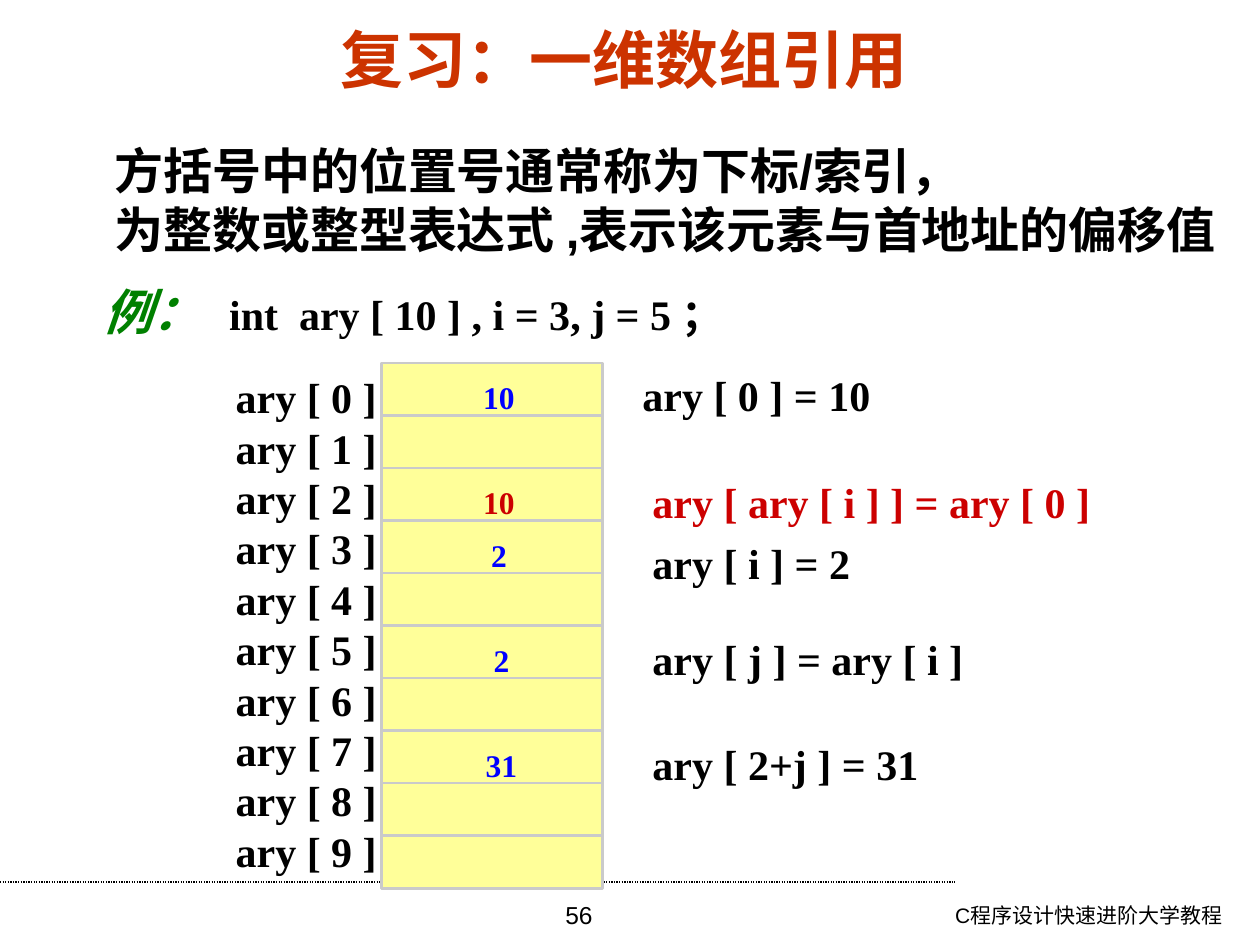
import pptx
import pptx.util
import pptx.dml.color
import pptx.enum.dml
import pptx.enum.shapes
import pptx.enum.text
from lxml import etree

Inches = pptx.util.Inches
Pt = pptx.util.Pt
ALIGN = pptx.enum.text.PP_ALIGN
ANCHOR = pptx.enum.text.MSO_ANCHOR
FIT = pptx.enum.text.MSO_AUTO_SIZE

COLORS = {
    "black": "000000",
    "title": "CC3300",
    "green": "008000",
    "blue": "0000FF",
    "red": "CC0000",
    "cell": "FFFF99",
    "edge": "CACACA",
}
SANS, SERIF = "Arial", "Times New Roman"
ROWS = 10
LEFT, TOP, WIDTH, HEIGHT = 3.03, 2.88, 1.75, 4.17
STEP = HEIGHT / ROWS

VALUES = [
    (0, "10", 3.96, "blue"),
    (2, "10", 3.96, "red"),
    (3, "2", 3.96, "blue"),
    (5, "2", 3.98, "blue"),
    (7, "31", 3.98, "blue"),
]
STEPS = [
    ("ary [ 0 ] = 10", 5, 2.88, 2.05, "black"),
    ("ary [ ary [ i ] ] = ary [ 0 ]", 5.08, 3.73, 3.72, "red"),
    ("ary [ i ] = 2", 5.08, 4.22, 1.8, "black"),
    ("ary [ j ] = ary [ i ]", 5.08, 4.98, 2.72, "black"),
    ("ary [ 2+j ] = 31", 5.08, 5.81, 2.35, "black"),
]


def shade(name):
    return pptx.dml.color.RGBColor.from_string(COLORS[name])


def style(run, size, color, face, bold=True, slant=False):
    font = run.font
    font.size = Pt(size)
    font.name = face
    font.bold = bold
    font.italic = slant
    font.color.rgb = shade(color)


def add_box(shapes, left, top, width, height, wrap=False):
    box = shapes.add_textbox(Inches(left), Inches(top), Inches(width), Inches(height))
    frame = box.text_frame
    frame.word_wrap = wrap
    frame.auto_size = FIT.NONE if wrap else FIT.SHAPE_TO_FIT_TEXT
    frame.vertical_anchor = ANCHOR.TOP if wrap else ANCHOR.MIDDLE
    return frame


def add_text(shapes, text, place, size, color="black", face=SERIF,
             align=ALIGN.LEFT, bold=True, wrap=False):
    frame = add_box(shapes, *place, wrap=wrap)
    frame.text = text
    for para in frame.paragraphs:
        para.alignment = align
        for run in para.runs:
            style(run, size, color, face, bold)
    return frame


def add_line(shapes, left, right, y, color, width):
    line = shapes.add_connector(pptx.enum.shapes.MSO_CONNECTOR.STRAIGHT,
                                Inches(left), Inches(y), Inches(right), Inches(y))
    line.line.color.rgb = shade(color)
    line.line.width = Pt(width)
    etree.SubElement(line._element.spPr, pptx.oxml.ns.qn("a:effectLst"))
    return line


def add_array(slide):
    shapes = slide.shapes.add_group_shape().shapes
    rect = shapes.add_shape(pptx.enum.shapes.MSO_SHAPE.RECTANGLE,
                            Inches(LEFT), Inches(TOP), Inches(WIDTH), Inches(HEIGHT))
    rect.shadow.inherit = False
    rect.fill.solid()
    rect.fill.fore_color.rgb = shade("cell")
    rect.line.color.rgb = shade("edge")
    rect.line.width = Pt(1.5)
    for row in range(1, ROWS):
        line = add_line(shapes, LEFT, LEFT + WIDTH, TOP + row * STEP, "edge", 1.5)
        if row * 2 == ROWS:
            line.begin_connect(rect, 1)
            line.end_connect(rect, 3)
    names = "\n".join(f"ary [ {row} ]" for row in range(ROWS))
    add_text(shapes, names, (1.77, 2.9, 1.32, 4.1), 24, align=ALIGN.CENTER)


def add_sample(shapes):
    para = add_box(shapes, 0.72, 2.18, 5.29, 0.57).paragraphs[0]
    head, code = para.add_run(), para.add_run()
    head.text = "例：\t"
    style(head, 28, "green", SERIF, slant=True)
    code.text = "int  ary [ 10 ] , i = 3, j = 5 ；"
    style(code, 24, "black", SERIF)


def add_footer(shapes):
    rule = add_line(shapes, 0, 7.58, 7, "black", 0.75)
    rule.line.dash_style = pptx.enum.dml.MSO_LINE.ROUND_DOT
    add_text(shapes, "C程序设计快速进阶大学教程", (6.57, 7.11, 3.23, 0.39), 12,
             face=SANS, align=ALIGN.RIGHT, bold=False, wrap=True)
    add_text(shapes, "56", (3.43, 7.09, 2.33, 0.41), 14,
             face=SANS, align=ALIGN.CENTER, bold=False, wrap=True)


def main():
    deck = pptx.Presentation()
    deck.slide_width, deck.slide_height = Inches(10), Inches(7.5)
    slide = deck.slides.add_slide(deck.slide_layouts[6])
    shapes = slide.shapes
    add_footer(shapes)
    add_sample(shapes)
    add_array(slide)
    for text, left, top, width, color in STEPS:
        add_text(shapes, text, (left, top, width, 0.5), 24, color)
    for row, text, mid, color in VALUES:
        width = 0.45 if len(text) == 2 else 0.32
        place = (mid - width / 2, TOP + 0.07 + row * STEP, width, 0.4)
        add_text(shapes, text, place, 18, color, align=ALIGN.CENTER)
    add_text(shapes, "方括号中的位置号通常称为下标/索引，\n为整数或整型表达式 ,表示该元素与首地址的偏移值",
             (0.81, 1.06, 9.18, 1.04), 28, face=SANS)
    title = add_text(shapes, "复习：一维数组引用", (0.43, 0.21, 9.05, 0.5), 36,
                     "title", SANS, ALIGN.CENTER, wrap=True)
    title.vertical_anchor = ANCHOR.MIDDLE
    deck.save("out.pptx")


if __name__ == "__main__":
    main()
